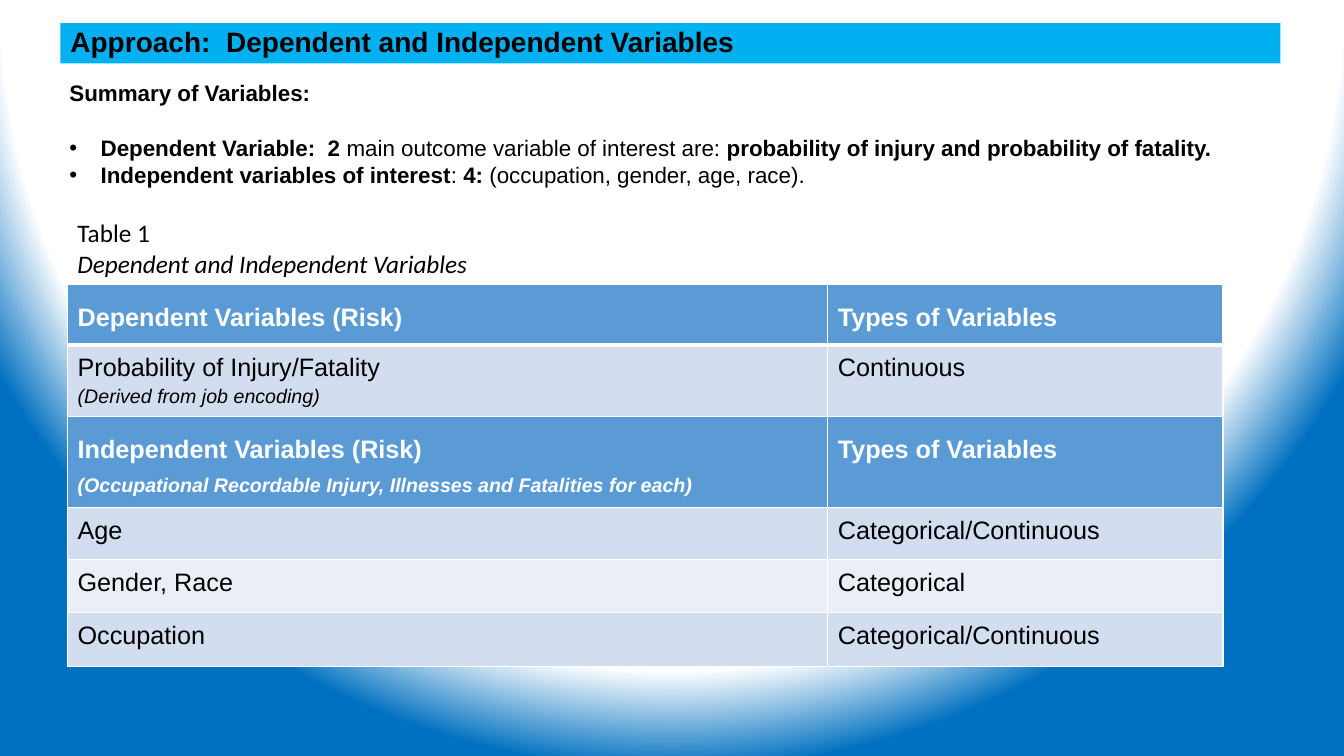
from dataclasses import dataclass

from lxml import etree
from pptx import Presentation
from pptx.dml.color import RGBColor
from pptx.enum.shapes import MSO_SHAPE
from pptx.enum.text import MSO_ANCHOR, MSO_AUTO_SIZE, PP_ALIGN
from pptx.oxml.ns import qn
from pptx.slide import Slide
from pptx.table import _Cell
from pptx.text.text import TextFrame
from pptx.util import Inches, Pt

RECTANGLE = MSO_SHAPE.RECTANGLE
MIDDLE = MSO_ANCHOR.MIDDLE
GROW = MSO_AUTO_SIZE.SHAPE_TO_FIT_TEXT
LEFT = PP_ALIGN.LEFT

BLACK = RGBColor(0x00, 0x00, 0x00)
WHITE = RGBColor(0xFF, 0xFF, 0xFF)
EDGE_BLUE = RGBColor(0x00, 0x70, 0xC0)
TITLE_BLUE = RGBColor(0x00, 0xB0, 0xF0)
HEADER_BLUE = RGBColor(0x5B, 0x9B, 0xD5)
BAND_DARK = RGBColor(0xD2, 0xDE, 0xEF)
BAND_LIGHT = RGBColor(0xEA, 0xEF, 0xF7)


@dataclass
class Span:
    text: str
    size: int = 18
    bold: bool = False
    italic: bool = False
    font: str = "Arial"
    color: RGBColor = BLACK


@dataclass
class Line:
    spans: list[Span]
    spacing: float = 1.0
    bullet: bool = False
    before: int = 0


@dataclass
class TextBox:
    left: float
    top: float
    width: float
    height: float
    lines: list[Line]


@dataclass
class VariableRow:
    height: float
    name: str
    kind: str
    fill: RGBColor
    note: str = ""


TITLE = [Line([Span("Approach:  Dependent and Independent Variables", 20, True)], 0.9)]

TEXT_BOXES = [
    TextBox(0.59, 0.74, 12.08, 1.18, [
        Line([Span("Summary of Variables:", 16, True)]),
        Line([
            Span("Dependent Variable:  2 ", 16, True),
            Span("main outcome variable of interest are: ", 16),
            Span("probability of injury and probability of fatality.", 16, True),
        ], bullet=True, before=20),
        Line([
            Span("Independent variables of interest", 16, True),
            Span(": ", 16),
            Span("4:", 16, True),
            Span(" (occupation, gender, age, race).", 16),
        ], bullet=True),
    ]),
    TextBox(0.67, 2.11, 6.67, 0.71, [
        Line([Span("Table 1", font="Calibri")]),
        Line([Span("Dependent and Independent Variables", italic=True, font="Calibri")]),
    ]),
]

COLUMN_WIDTHS = [7.54, 3.92]
ROWS = [
    VariableRow(0.6, "Dependent Variables (Risk)", "Types of Variables", HEADER_BLUE),
    VariableRow(0.7, "Probability of Injury/Fatality", "Continuous", BAND_DARK,
                "(Derived from job encoding)"),
    VariableRow(0.9, "Independent Variables (Risk)", "Types of Variables", HEADER_BLUE,
                "(Occupational Recordable Injury, Illnesses and Fatalities for each)"),
    VariableRow(0.52, "Age", "Categorical/Continuous", BAND_DARK),
    VariableRow(0.52, "Gender, Race", "Categorical", BAND_LIGHT),
    VariableRow(0.54, "Occupation", "Categorical/Continuous", BAND_DARK),
]


def write_lines(frame: TextFrame, lines: list[Line]) -> None:
    for index, line in enumerate(lines):
        paragraph = frame.paragraphs[0] if index == 0 else frame.add_paragraph()
        paragraph.alignment = LEFT
        paragraph.line_spacing = line.spacing
        if line.before:
            paragraph.space_before = Pt(line.before)
        if line.bullet:
            properties = paragraph._p.get_or_add_pPr()
            properties.set("marL", str(Inches(0.31)))
            properties.set("indent", str(Inches(-0.31)))
            etree.SubElement(properties, qn("a:buFont"), typeface="Arial")
            etree.SubElement(properties, qn("a:buChar"), char="•")
        for span in line.spans:
            run = paragraph.add_run()
            run.text = span.text
            run.font.name = span.font
            run.font.size = Pt(span.size)
            run.font.bold = span.bold
            run.font.italic = span.italic
            run.font.color.rgb = span.color


def paint_background(slide: Slide) -> None:
    fill = slide.background.fill
    fill.gradient()
    for stop, position, color in zip(fill.gradient_stops, (0.87, 1.0), (WHITE, EDGE_BLUE)):
        stop.position = position
        stop.color.rgb = color
    gradient = slide.element.find(".//" + qn("a:gradFill"))
    gradient.remove(gradient.find(qn("a:lin")))
    circle = etree.Element(qn("a:path"), path="circle")
    etree.SubElement(circle, qn("a:fillToRect"), l="50000", t="-80000", r="50000", b="180000")
    gradient.find(qn("a:gsLst")).addnext(circle)


def add_title(slide: Slide) -> None:
    shape = slide.shapes.add_shape(RECTANGLE, Inches(0.6), Inches(0.23), Inches(12.1), Inches(0.4))
    shape.shadow.inherit = False
    shape.fill.solid()
    shape.fill.fore_color.rgb = TITLE_BLUE
    shape.line.fill.background()
    shape.text_frame.word_wrap = True
    shape.text_frame.vertical_anchor = MIDDLE
    write_lines(shape.text_frame, TITLE)


def add_text_box(slide: Slide, box: TextBox) -> None:
    shape = slide.shapes.add_textbox(
        Inches(box.left), Inches(box.top), Inches(box.width), Inches(box.height))
    shape.text_frame.word_wrap = True
    shape.text_frame.auto_size = GROW
    write_lines(shape.text_frame, box.lines)


def set_borders(cell: _Cell, top: int, bottom: int) -> None:
    properties = cell._tc.get_or_add_tcPr()
    widths = {"a:lnL": 1, "a:lnR": 1, "a:lnT": top, "a:lnB": bottom}
    for tag, width in widths.items():
        border = etree.SubElement(properties, qn(tag), w=str(Pt(width)))
        solid = etree.SubElement(border, qn("a:solidFill"))
        etree.SubElement(solid, qn("a:srgbClr"), val=str(WHITE))


def add_variable_table(slide: Slide) -> None:
    table = slide.shapes.add_table(
        len(ROWS), len(COLUMN_WIDTHS), Inches(0.67), Inches(2.82),
        Inches(sum(COLUMN_WIDTHS)), Inches(sum(row.height for row in ROWS))).table
    for column, width in zip(table.columns, COLUMN_WIDTHS):
        column.width = Inches(width)
    for index, row in enumerate(ROWS):
        table.rows[index].height = Inches(row.height)
        header = row.fill == HEADER_BLUE
        color = WHITE if header else BLACK
        spacing = 1.5 if header else 1.15
        for column, text in enumerate((row.name, row.kind)):
            lines = [Line([Span(text, bold=header, color=color)], spacing)]
            if row.note and column == 0:
                lines.append(Line([Span(row.note, 14, header, True, color=color)], spacing))
            cell = table.cell(index, column)
            set_borders(cell, 3 if index == 1 else 1, 3 if index == 0 else 1)
            cell.fill.solid()
            cell.fill.fore_color.rgb = row.fill
            write_lines(cell.text_frame, lines)


def main() -> None:
    presentation = Presentation()
    presentation.slide_width = Inches(13.33)
    presentation.slide_height = Inches(7.5)
    slide = presentation.slides.add_slide(presentation.slide_layouts[6])
    paint_background(slide)
    summary, caption = TEXT_BOXES
    add_text_box(slide, summary)
    add_variable_table(slide)
    add_text_box(slide, caption)
    add_title(slide)
    presentation.save("out.pptx")


if __name__ == "__main__":
    main()
